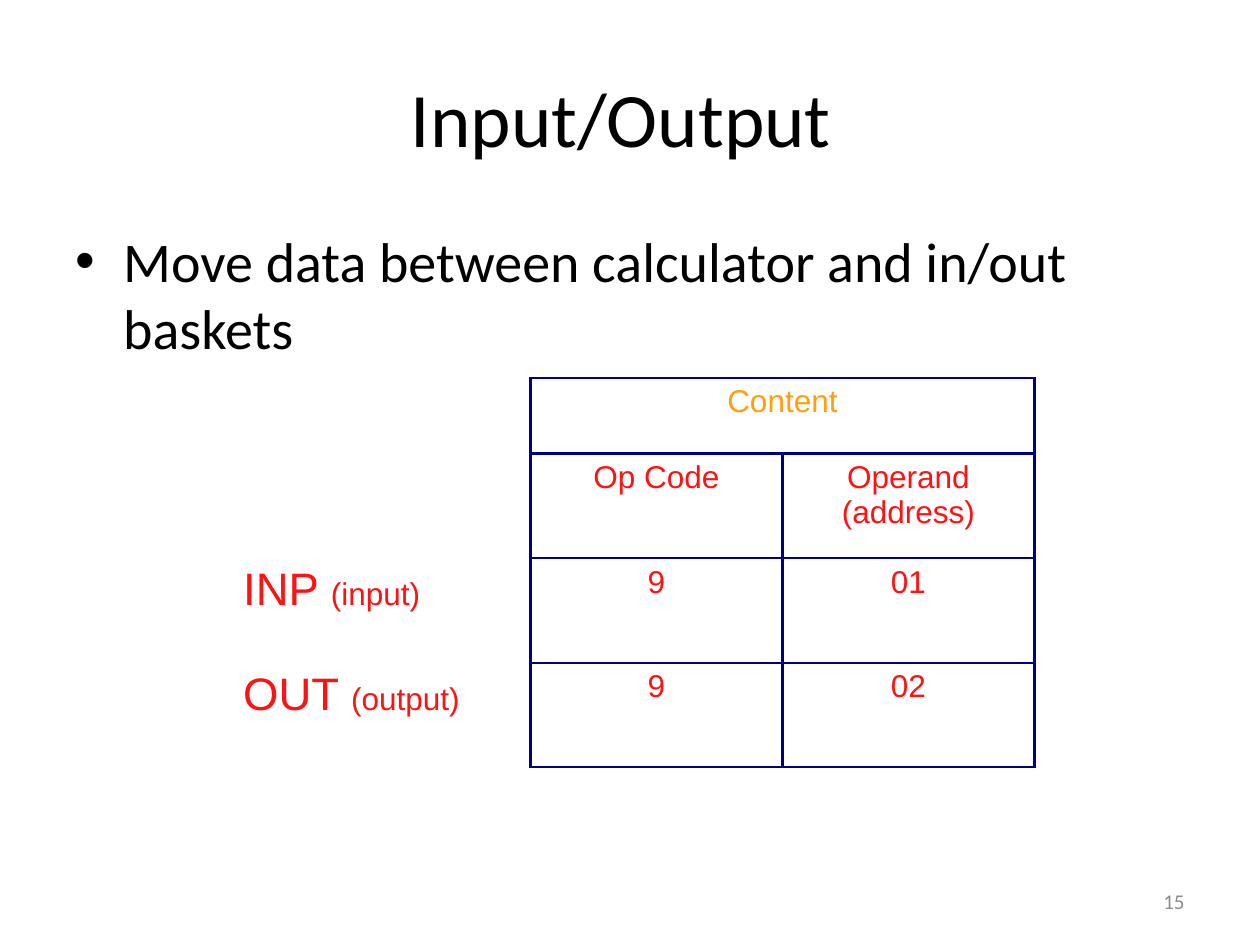
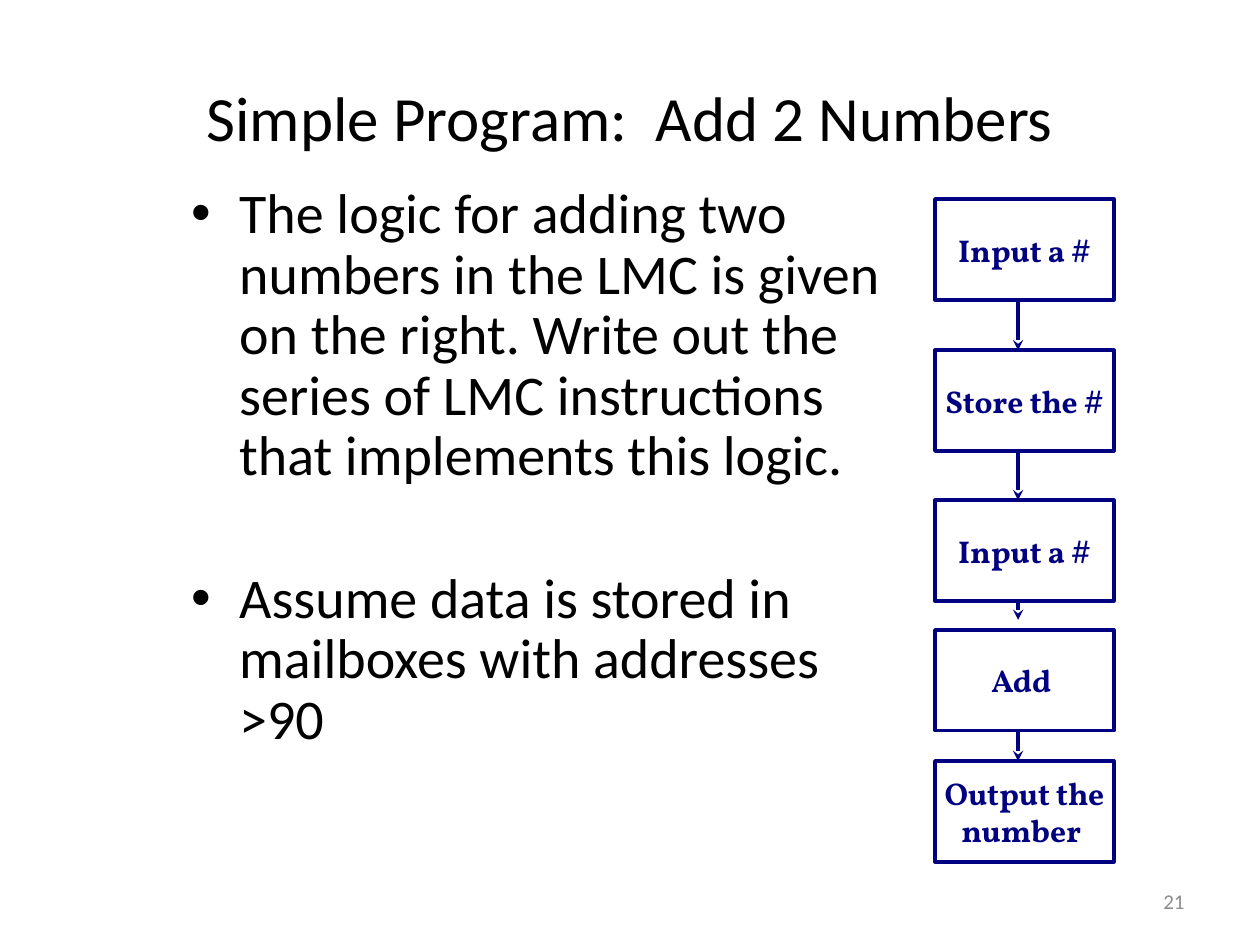
"""Builds two Little Man Computer slides: input/output codes and an addition flowchart."""
from lxml import etree
from pptx import Presentation
from pptx.dml.color import RGBColor
from pptx.enum.shapes import MSO_CONNECTOR, MSO_SHAPE
from pptx.enum.text import MSO_ANCHOR, PP_ALIGN
from pptx.oxml.ns import qn
from pptx.util import Inches, Pt

COLORS = {"black": "000000", "white": "FFFFFF", "navy": "000080",
          "orange": "FF9F11", "red": "FD1313", "gray": "8C8C8C"}


def rgb(name):
    return RGBColor.from_string(COLORS[name])


def add_run(paragraph, text, size, color, font="Calibri", bold=False):
    run = paragraph.add_run()
    run.text = text
    run.font.size, run.font.name, run.font.bold = Pt(size), font, bold
    run.font.color.rgb = rgb(color)


def next_paragraph(frame, index):
    return frame.paragraphs[0] if index == 0 else frame.add_paragraph()


def add_frame(slide, box, anchor=MSO_ANCHOR.TOP):
    frame = slide.shapes.add_textbox(*map(Inches, box)).text_frame
    frame.word_wrap = True
    frame.vertical_anchor = anchor
    return frame


def add_line_of_text(slide, box, text, size, color, align):
    paragraph = add_frame(slide, box, MSO_ANCHOR.MIDDLE).paragraphs[0]
    paragraph.alignment = align
    add_run(paragraph, text, size, color)
    return paragraph


def add_slide(prs, title, title_size, number):
    slide = prs.slides.add_slide(prs.slide_layouts[6])
    add_line_of_text(slide, (0.5, 0.3, 9, 1.25), title, title_size, "black", PP_ALIGN.CENTER)
    add_line_of_text(slide, (7.17, 6.95, 2.33, 0.4), number, 12, "gray", PP_ALIGN.RIGHT)
    return slide


def add_bullets(slide, box, texts, line_spacing=1.0, gap=0):
    frame = add_frame(slide, box)
    for index, text in enumerate(texts):
        paragraph = next_paragraph(frame, index)
        paragraph.line_spacing = line_spacing
        paragraph.space_before = Pt(gap if index else 0)
        props = paragraph._p.get_or_add_pPr()
        props.set("marL", str(Inches(0.38)))
        props.set("indent", str(-Inches(0.38)))
        etree.SubElement(props, qn("a:buFont"), typeface="Arial")
        etree.SubElement(props, qn("a:buChar"), char="•")
        add_run(paragraph, text, 32, "black")


def set_borders(cell, colors):
    props = cell._tc.get_or_add_tcPr()
    for side, color in zip("LRTB", colors):
        width = Pt(1.5 if color == "navy" else 1)
        line = etree.SubElement(props, qn(f"a:ln{side}"), w=str(width))
        fill = etree.SubElement(line, qn("a:solidFill"))
        etree.SubElement(fill, qn("a:srgbClr"), val=COLORS[color])


def add_code_table(slide):
    widths, heights = (2, 0.38, 2, 2), (0.6, 0.83, 0.83, 0.83)
    rows = [(None, "Content", ""),
            (None, "Op Code", "Operand\n(address)"),
            (("INP ", "(input)"), "9", "01"),
            (("OUT ", "(output)"), "9", "02")]
    table = slide.shapes.add_table(len(rows), len(widths), Inches(1.83), Inches(3),
                                   Inches(sum(widths)), Inches(sum(heights))).table
    table.first_row = table.horz_banding = False
    for column, width in zip(table.columns, widths):
        column.width = Inches(width)
    for row, height in zip(table.rows, heights):
        row.height = Inches(height)
    table.cell(0, 2).merge(table.cell(0, 3))
    for r, (label, *values) in enumerate(rows):
        for c in range(len(widths)):
            cell = table.cell(r, c)
            right = "navy" if c else "white"
            side = "navy" if c > 1 else "white"
            set_borders(cell, (side, right, side, side))
            cell.fill.solid()
            cell.fill.fore_color.rgb = rgb("white")
        if label:
            paragraph = table.cell(r, 0).text_frame.paragraphs[0]
            for text, size in zip(label, (26, 18)):
                add_run(paragraph, text, size, "red", "Arial")
        for c, value in enumerate(values, 2):
            for index, text in enumerate(value.split("\n") if value else []):
                paragraph = next_paragraph(table.cell(r, c).text_frame, index)
                paragraph.alignment = PP_ALIGN.CENTER
                add_run(paragraph, text, 18, "red" if r else "orange", "Arial")


def add_step(slide, top, height, text):
    box = slide.shapes.add_shape(MSO_SHAPE.RECTANGLE, Inches(7.42), Inches(top),
                                 Inches(1.42), Inches(height))
    box.shadow.inherit = False
    box.fill.solid()
    box.fill.fore_color.rgb = rgb("white")
    box.line.color.rgb = rgb("navy")
    box.line.width = Pt(2)
    frame = box.text_frame
    frame.word_wrap = False
    frame.vertical_anchor = MSO_ANCHOR.MIDDLE
    for index, line in enumerate(text.split("\n")):
        paragraph = next_paragraph(frame, index)
        paragraph.alignment = PP_ALIGN.CENTER
        add_run(paragraph, line, 18, "navy", "Vollkorn", True)


def add_arrow(slide, x, top, length):
    arrow = slide.shapes.add_connector(MSO_CONNECTOR.STRAIGHT, Inches(x), Inches(top),
                                       Inches(x), Inches(top + length))
    arrow.line.color.rgb = rgb("navy")
    arrow.line.width = Pt(2)
    etree.SubElement(arrow.line._get_or_add_ln(), qn("a:tailEnd"), type="stealth")
    etree.SubElement(arrow._element.spPr, qn("a:effectLst"))


def add_flowchart(slide):
    top, height = 1.58, 0.8
    steps = [("Input a #", 0.4, 0.4), ("Store the #", 0.39, 0.39), ("Input a #", 0.23, 0.15),
             ("Add ", 0.24, 0.24), ("Output the\nnumber ", 0, 0)]
    for text, gap, arrow_length in steps:
        add_step(slide, top, height, text)
        if arrow_length:
            add_arrow(slide, 8.08, top + height, arrow_length)
        top += height + gap


def main():
    prs = Presentation()
    prs.slide_width, prs.slide_height = Inches(10), Inches(7.5)

    slide = add_slide(prs, "Input/Output ", 44, "15")
    add_bullets(slide, (0.5, 1.75, 9, 4.95), ["Move data between calculator and in/out baskets"])
    add_code_table(slide)

    slide = add_slide(prs, "Simple Program:  Add 2 Numbers", 36, "21")
    add_bullets(slide, (1.42, 1.42, 5.75, 5.25),
                ["The logic for adding two numbers in the LMC is given on the right. "
                 "Write out the series of LMC instructions that implements this logic.",
                 "Assume data is stored in mailboxes with addresses >90"],
                line_spacing=0.9, gap=47)
    add_flowchart(slide)

    prs.save("out.pptx")


main()
